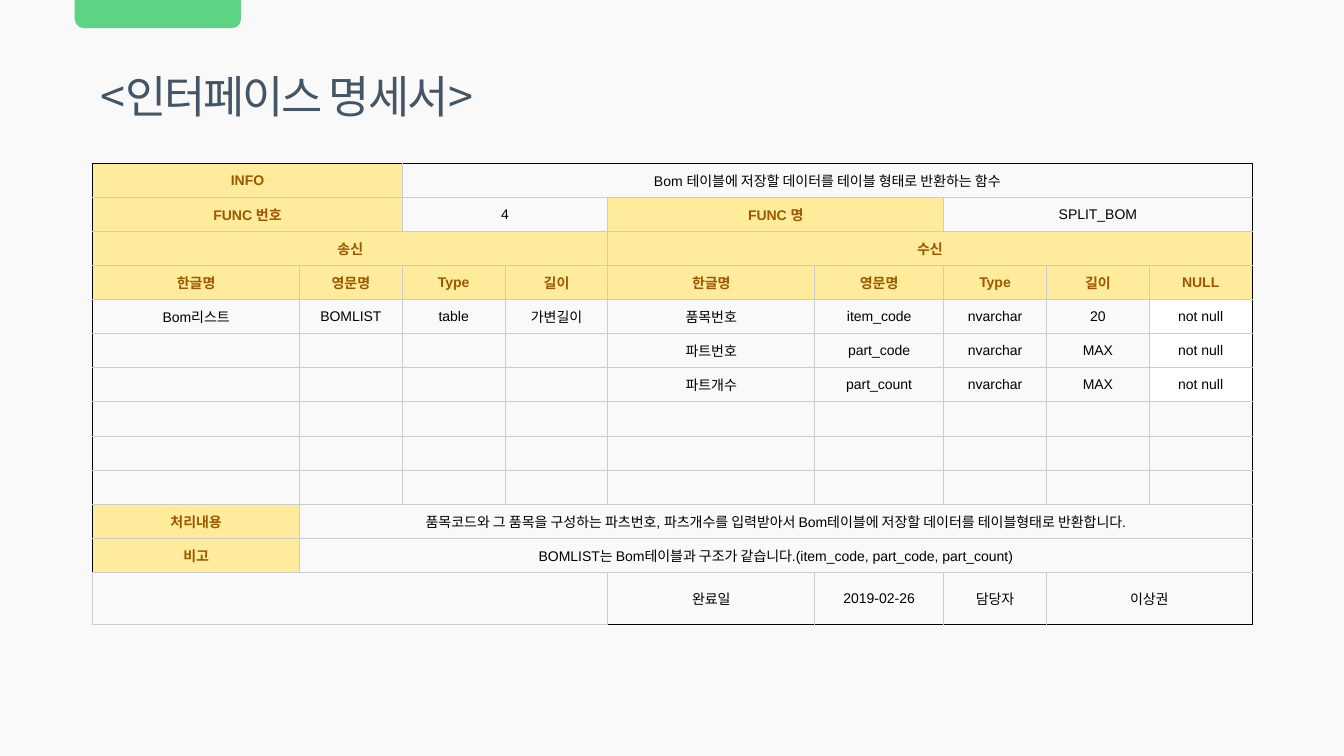
from lxml import etree
from pptx import Presentation
from pptx.dml.color import RGBColor
from pptx.enum import shapes, text
from pptx.oxml.ns import qn
from pptx.util import Inches, Pt

BACKGROUND = RGBColor(0xF9, 0xF9, 0xF9)
GREEN = RGBColor(0x5C, 0xD4, 0x84)
SLATE = RGBColor(0x44, 0x55, 0x66)
YELLOW = RGBColor(0xFF, 0xEB, 0x9C)
BROWN = RGBColor(0x9C, 0x57, 0x00)
WHITE = RGBColor(0xFF, 0xFF, 0xFF)
BLACK = RGBColor(0, 0, 0)
GREY = RGBColor(0xCC, 0xCC, 0xCC)
KOREAN = "Noto Sans CJK KR"

COLUMNS = [2.05, 1.02, 1.02, 1.02, 2.05, 1.28, 1.02, 1.02, 1.02]
LAST_ROW_HEIGHT = 0.52
FIELDS = ["한글명", "영문명", "Type", "길이"]
# None continues the cell to its left
ROWS = [
    ["INFO", None, "Bom 테이블에 저장할 데이터를 테이블 형태로 반환하는 함수"] + [None] * 6,
    ["FUNC 번호", None, "4", None, "FUNC 명", None, "SPLIT_BOM", None, None],
    ["송신", None, None, None, "수신", None, None, None, None],
    FIELDS + FIELDS + ["NULL"],
    ["Bom리스트", "BOMLIST", "table", "가변길이",
     "품목번호", "item_code", "nvarchar", "20", "not null"],
    [""] * 4 + ["파트번호", "part_code", "nvarchar", "MAX", "not null"],
    [""] * 4 + ["파트개수", "part_count", "nvarchar", "MAX", "not null"],
    [""] * 9,
    [""] * 9,
    [""] * 9,
    ["처리내용", "품목코드와 그 품목을 구성하는 파츠번호, 파츠개수를 입력받아서 "
     "Bom테이블에 저장할 데이터를 테이블형태로 반환합니다."] + [None] * 7,
    ["비고", "BOMLIST는 Bom테이블과 구조가 같습니다."
     "(item_code, part_code, part_count)"] + [None] * 7,
    ["", None, None, None, "완료일", "2019-02-26", "담당자", "이상권", None],
]
LABELS = {"INFO", "FUNC 번호", "FUNC 명", "송신", "수신", "NULL",
          "처리내용", "비고", *FIELDS}


def format_run(r, latin, size, color, bold=False):
    r.font.name = latin
    r.font.size = Pt(size)
    r.font.bold = bold
    r.font.color.rgb = color
    etree.SubElement(r._r.get_or_add_rPr(), qn("a:ea"), typeface=KOREAN)


def add_tab(s, left, top, width, height):
    sp = s.shapes.add_shape(shapes.MSO_SHAPE.ROUND_2_SAME_RECTANGLE,
                            Inches(left), Inches(top), Inches(width), Inches(height))
    sp.adjustments[0] = 0.33
    sp.rotation = 180
    sp.shadow.inherit = False
    sp.fill.solid()
    sp.fill.fore_color.rgb = GREEN
    sp.line.fill.background()


def set_title(s, left, top, width, height):
    sp = s.shapes.title
    sp.left, sp.top = Inches(left), Inches(top)
    sp.width, sp.height = Inches(width), Inches(height)
    tf = sp.text_frame
    tf.text = "<인터페이스 명세서>"
    tf.word_wrap = False
    tf.auto_size = text.MSO_AUTO_SIZE.NONE
    tf.vertical_anchor = text.MSO_ANCHOR.MIDDLE
    p = tf.paragraphs[0]
    p.alignment = text.PP_ALIGN.CENTER
    r = p.runs[0]
    format_run(r, KOREAN, 32, SLATE)
    r._r.get_or_add_rPr().set("spc", "-150")


def set_borders(cell, row, col, span):
    """Black on the outer frame, except round the empty bottom-left cell."""
    last = row == len(ROWS) - 1
    edges = {
        "L": col == 0 and not last,
        "R": col + span == len(COLUMNS),
        "T": row == 0,
        "B": last and col >= 4,
    }
    tc_pr = cell._tc.get_or_add_tcPr()
    for side, outer in edges.items():
        ln = etree.SubElement(tc_pr, qn(f"a:ln{side}"), w=str(Pt(0.75)))
        fill = etree.SubElement(ln, qn("a:solidFill"))
        etree.SubElement(fill, qn("a:srgbClr"), val=str(BLACK if outer else GREY))


def fill_cell(cell, value):
    is_label = value in LABELS
    cell.margin_left = cell.margin_right = Inches(0.03)
    cell.margin_top = cell.margin_bottom = Inches(0.02)
    cell.vertical_anchor = text.MSO_ANCHOR.MIDDLE
    if is_label or value == "not null":
        cell.fill.solid()
        cell.fill.fore_color.rgb = YELLOW if is_label else WHITE
    else:
        cell.fill.background()
    p = cell.text_frame.paragraphs[0]
    p.alignment = text.PP_ALIGN.CENTER
    if value:
        p.text = value
        format_run(p.runs[0], "Arial", 10, BROWN if is_label else BLACK, is_label)
    else:
        etree.SubElement(p._p, qn("a:endParaRPr"), sz="1000")


def add_spec_table(s, left, top, width, height):
    table = s.shapes.add_table(len(ROWS), len(COLUMNS), Inches(left), Inches(top),
                               Inches(width), Inches(height)).table
    table.first_row = table.horz_banding = False
    for column, col_width in zip(table.columns, COLUMNS):
        column.width = Inches(col_width * width / sum(COLUMNS))
    for row in table.rows:
        row.height = Inches((height - LAST_ROW_HEIGHT) / (len(ROWS) - 1))
    table.rows[len(ROWS) - 1].height = Inches(LAST_ROW_HEIGHT)

    for i, values in enumerate(ROWS):
        for j, value in enumerate(values):
            cell = table.cell(i, j)
            span = 1
            while value is not None and j + span < len(values) and values[j + span] is None:
                span += 1
            set_borders(cell, i, j, span)
            fill_cell(cell, value)
            if span > 1:
                cell.merge(table.cell(i, j + span - 1))


def main():
    prs = Presentation()
    prs.slide_width, prs.slide_height = Inches(13.33), Inches(7.5)
    s = prs.slides.add_slide(prs.slide_layouts[5])
    s.background.fill.solid()
    s.background.fill.fore_color.rgb = BACKGROUND
    add_tab(s, 0.74, 0, 1.65, 0.28)
    set_title(s, 0.74, 0.63, 4.21, 0.64)
    add_spec_table(s, 0.92, 1.62, 11.5, 4.58)
    prs.save("out.pptx")


if __name__ == "__main__":
    main()
